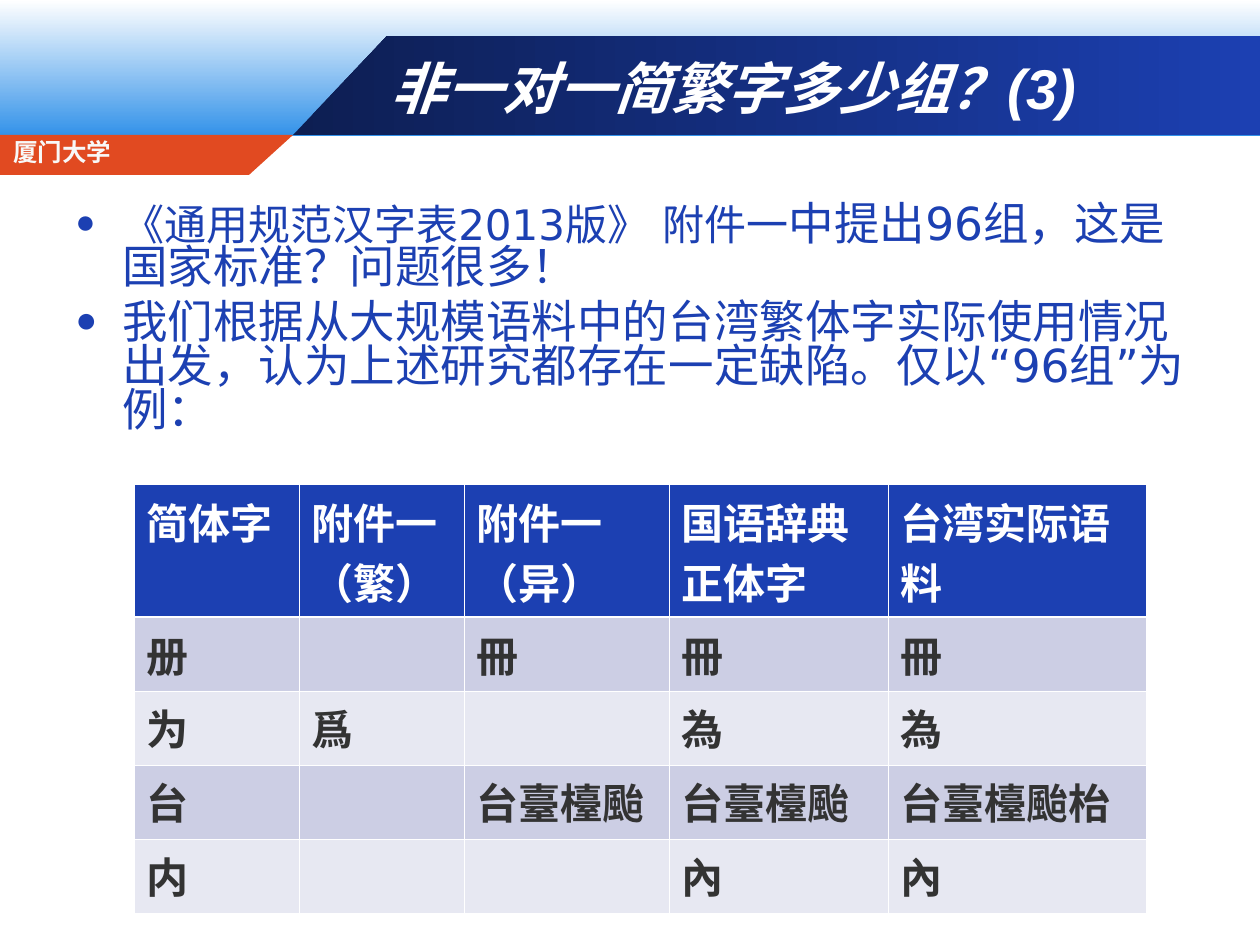
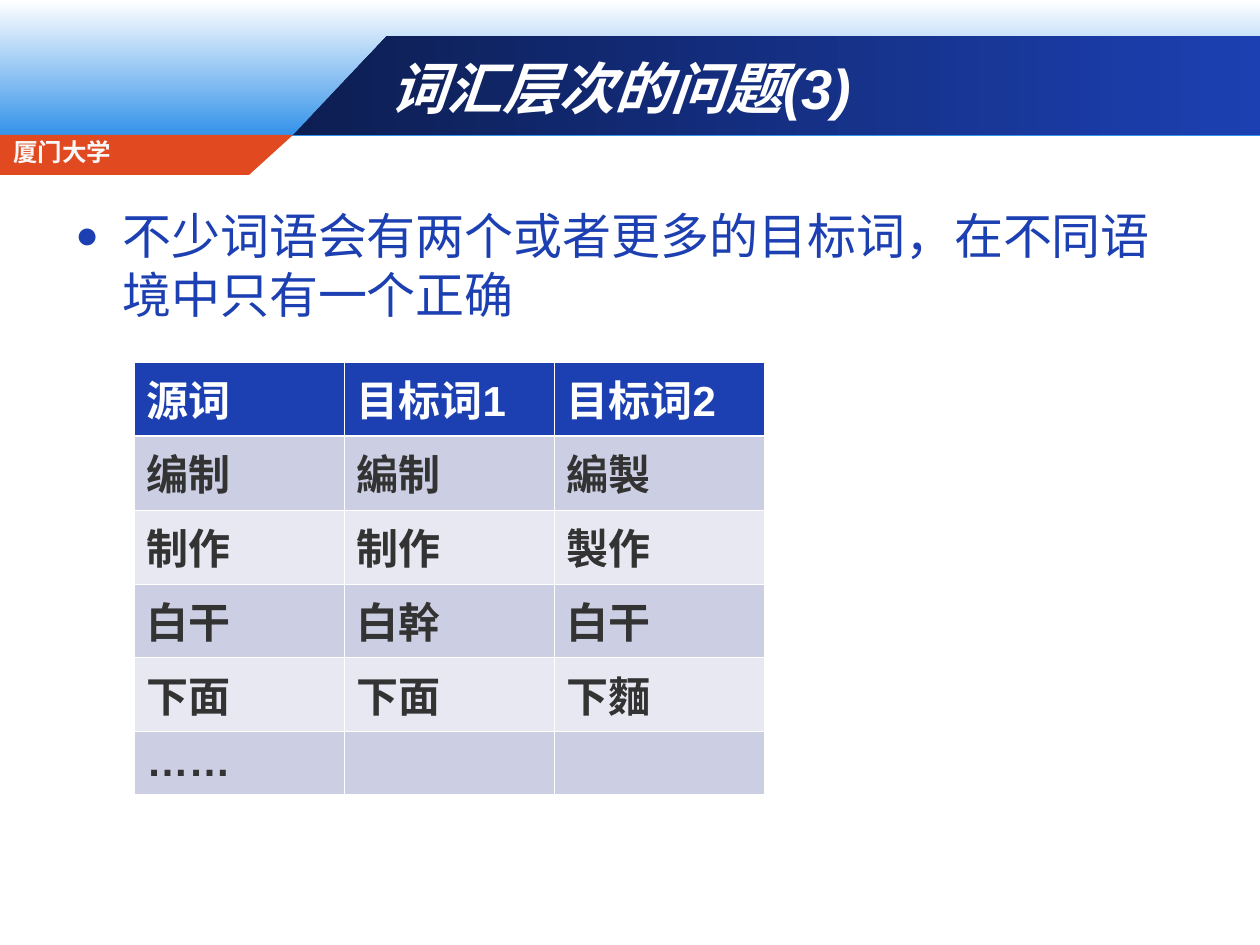
"""Build two slides on one-to-many mappings between simplified and traditional Chinese."""
from lxml import etree
from pptx import Presentation
from pptx.dml.color import RGBColor
from pptx.enum.shapes import MSO_SHAPE
from pptx.enum.text import MSO_ANCHOR, MSO_AUTO_SIZE, PP_ALIGN
from pptx.oxml.ns import qn
from pptx.util import Emu, Pt

RECT = MSO_SHAPE.RECTANGLE
MIDDLE, TOP = MSO_ANCHOR.MIDDLE, MSO_ANCHOR.TOP
LEFT = PP_ALIGN.LEFT
FIXED = MSO_AUTO_SIZE.NONE

WHITE = RGBColor(0xFF, 0xFF, 0xFF)
PALE = RGBColor(0xF8, 0xF8, 0xF8)
SKY = RGBColor(0x33, 0x92, 0xE9)
NAVY = RGBColor(0x0D, 0x1E, 0x52)
BLUE = RGBColor(0x1C, 0x40, 0xB2)
RED = RGBColor(0xE1, 0x4A, 0x21)
INK = RGBColor(0x33, 0x33, 0x33)
ROWS = [RGBColor(0xCC, 0xCE, 0xE4), RGBColor(0xE7, 0xE8, 0xF2)]

ARIAL, DEJA, NOTO = "Arial", "DejaVu Sans", "Noto Sans CJK SC"
DOTS = "……"
SCHOOL = "厦门大学"
TITLE_BOX = (378, 38, 840, 98)
BODY_BOX = (63, 199, 1134, 661)
TABLE_X, ROW_H, DOTS_H = 134, 74, 63

SLIDES = [
    {
        "title": "非一对一简繁字多少组？(3)",
        "points": [
            [("《通用规范汉字表2013版》 附件一", 24),
             ("中提出96组，这是国家标准？问题很多！", 26)],
            [("我们根据从大规模语料中的台湾繁体字实际使用情况出发，"
              "认为上述研究都存在一定缺陷。仅以“96组”为例：", 26)],
        ],
        "lead": 0.8,
        "top": 484,
        "head": 133,
        "cols": [165, 165, 205, 219, 258],
        "cells": [
            ["简体字", "附件一（繁）", "附件一（异）", "国语辞典\n正体字", "台湾实际语料"],
            ["册", "", "冊", "冊", "冊"],
            ["为", "爲", "", "為", "為"],
            ["台", "", "台臺檯颱", "台臺檯颱", "台臺檯颱枱"],
            ["内", "", "", "內", "內"],
        ],
    },
    {
        "title": "词汇层次的问题(3)",
        "points": [[("不少词语会有两个或者更多的目标词，在不同语境中只有一个正确", 28)]],
        "lead": 1.0,
        "top": 362,
        "head": ROW_H,
        "cols": [210] * 3,
        "cells": [
            ["源词", "目标词1", "目标词2"],
            ["编制", "編制", "編製"],
            ["制作", "制作", "製作"],
            ["白干", "白幹", "白干"],
            ["下面", "下面", "下麵"],
            [DOTS, "", ""],
        ],
    },
]


def px(n):
    return Emu(round(n * 914400 / 126))


def style(run, size, face, east, color, bold=False, slant=False):
    font = run.font
    font.size, font.name = Pt(size), face
    font.bold, font.italic = bold, slant
    font.color.rgb = color
    etree.SubElement(run._r.get_or_add_rPr(), qn("a:ea"), typeface=east)


def blend(shape, start, end, angle):
    shape.fill.gradient()
    shape.fill.gradient_angle = angle
    for stop, color in zip(shape.fill.gradient_stops, (start, end)):
        stop.color.rgb = color


def outline(slide, points):
    pen = slide.shapes.build_freeform(*points[0], scale=914400 / 126)
    pen.add_line_segments(points[1:], close=True)
    return pen.convert_to_shape()


def add_frame(slide, layout):
    sky = slide.shapes.add_shape(RECT, 0, 0, px(1260), px(136))
    blend(sky, WHITE, SKY, 270)
    band = outline(slide, [(293, 135), (1260, 135), (1260, 36), (387, 36)])
    blend(band, NAVY, BLUE, 0)
    tab = outline(slide, [(0, 135), (293, 135), (249, 175), (0, 175)])
    tab.fill.solid()
    tab.fill.fore_color.rgb = RED
    for shape in (sky, band, tab):
        shape.line.fill.background()
        shape.shadow.inherit = False
    label = slide.shapes.add_textbox(*map(px, (1, 141, 284, 30)))
    label.text_frame.word_wrap = True
    para = label.text_frame.paragraphs[0]
    para.text = SCHOOL
    para.line_spacing = 0.6
    style(para.runs[0], 14, DEJA, DEJA, PALE, bold=True)
    for i, shape in enumerate((sky, band, tab, label)):
        layout.shapes.element.insert(2 + i, shape.element)


def add_title(slide, text):
    title = slide.shapes.title
    title.left, title.top, title.width, title.height = map(px, TITLE_BOX)
    frame = title.text_frame
    frame.text = text
    frame.word_wrap, frame.auto_size = True, FIXED
    frame.vertical_anchor = MIDDLE
    para = frame.paragraphs[0]
    para.alignment = LEFT
    style(para.runs[0], 32, ARIAL, NOTO, WHITE, bold=True, slant=True)


def add_bullet(para):
    props = para._p.get_or_add_pPr()
    props.set("marL", str(px(47)))
    props.set("indent", str(-px(47)))
    tint = etree.SubElement(props, qn("a:buClr"))
    etree.SubElement(tint, qn("a:srgbClr"), val=str(BLUE))
    etree.SubElement(props, qn("a:buSzPct"), val="80000")
    etree.SubElement(props, qn("a:buFont"), typeface=ARIAL)
    etree.SubElement(props, qn("a:buChar"), char="●")


def add_points(slide, points, lead):
    frame = slide.shapes.add_textbox(*map(px, BODY_BOX)).text_frame
    frame.word_wrap = True
    frame.vertical_anchor = TOP
    for i, parts in enumerate(points):
        para = frame.add_paragraph() if i else frame.paragraphs[0]
        add_bullet(para)
        para.line_spacing = lead
        if i:
            para.space_before = Pt(6.5)
        for text, size in parts:
            run = para.add_run()
            run.text = text
            style(run, size, DEJA, DEJA, BLUE)


def add_edges(cell, row):
    props = cell._tc.get_or_add_tcPr()
    thick = {0: "lnB", 1: "lnT"}.get(row)
    for i, side in enumerate(("lnL", "lnR", "lnT", "lnB")):
        width = Pt(1.47 if side == thick else 0.45)
        edge = etree.Element(qn("a:" + side), w=str(width))
        fill = etree.SubElement(edge, qn("a:solidFill"))
        etree.SubElement(fill, qn("a:srgbClr"), val=str(WHITE))
        props.insert(i, edge)


def add_grid(slide, top, head, cols, cells):
    highs = [head] + [DOTS_H if row[0] == DOTS else ROW_H for row in cells[1:]]
    box = map(px, (TABLE_X, top, sum(cols), sum(highs)))
    table = slide.shapes.add_table(len(cells), len(cols), *box).table
    for col, width in zip(table.columns, cols):
        col.width = px(width)
    for r, (row, high) in enumerate(zip(cells, highs)):
        table.rows[r].height = px(high)
        for c, text in enumerate(row):
            cell = table.cell(r, c)
            cell.text = text
            cell.fill.solid()
            cell.fill.fore_color.rgb = ROWS[(r - 1) % 2] if r else BLUE
            add_edges(cell, r)
            east = ARIAL if text == DOTS else NOTO
            for para in cell.text_frame.paragraphs:
                for run in para.runs:
                    style(run, 24, ARIAL, east, INK if r else WHITE, bold=True)


def main():
    deck = Presentation()
    deck.slide_width, deck.slide_height = px(1260), px(945)
    layout = deck.slide_layouts.get_by_name("Title Only")
    for i, page in enumerate(SLIDES):
        slide = deck.slides.add_slide(layout)
        if i == 0:
            add_frame(slide, layout)
        add_title(slide, page["title"])
        add_points(slide, page["points"], page["lead"])
        add_grid(slide, page["top"], page["head"], page["cols"], page["cells"])
    deck.save("out.pptx")


if __name__ == "__main__":
    main()
